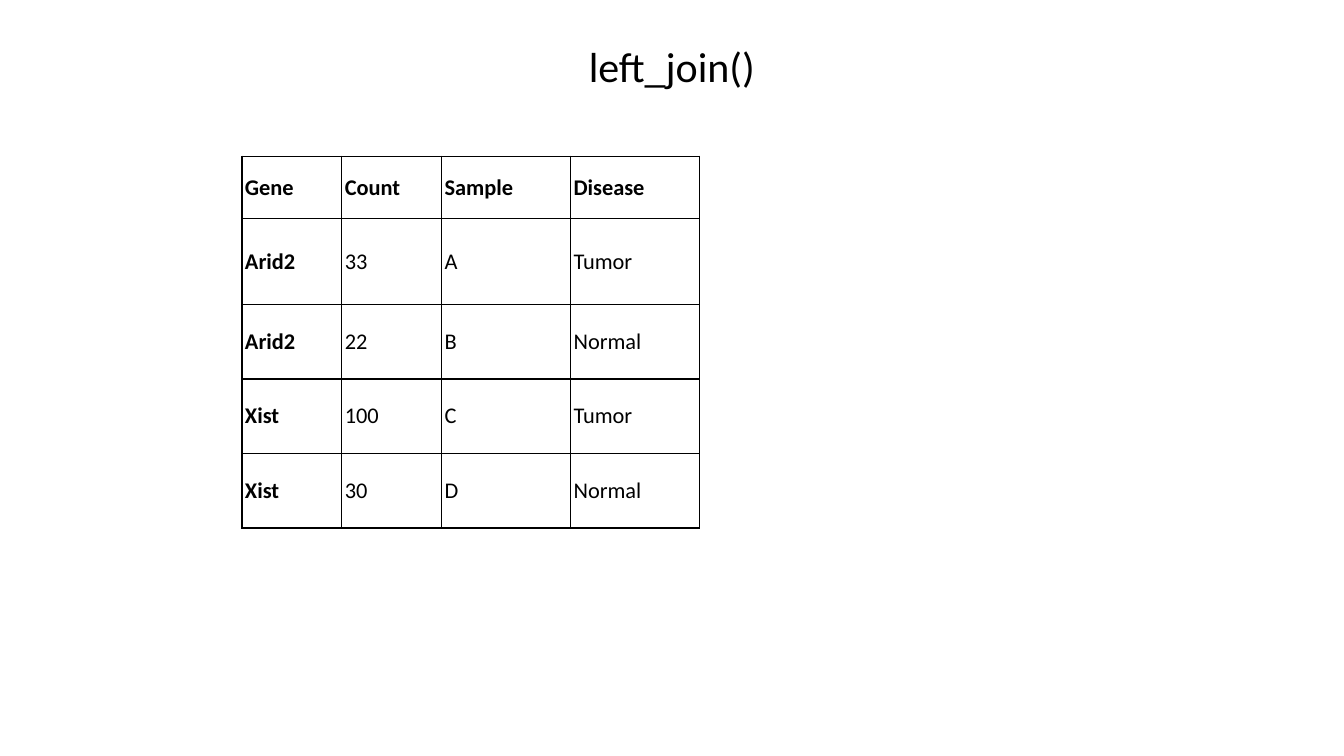
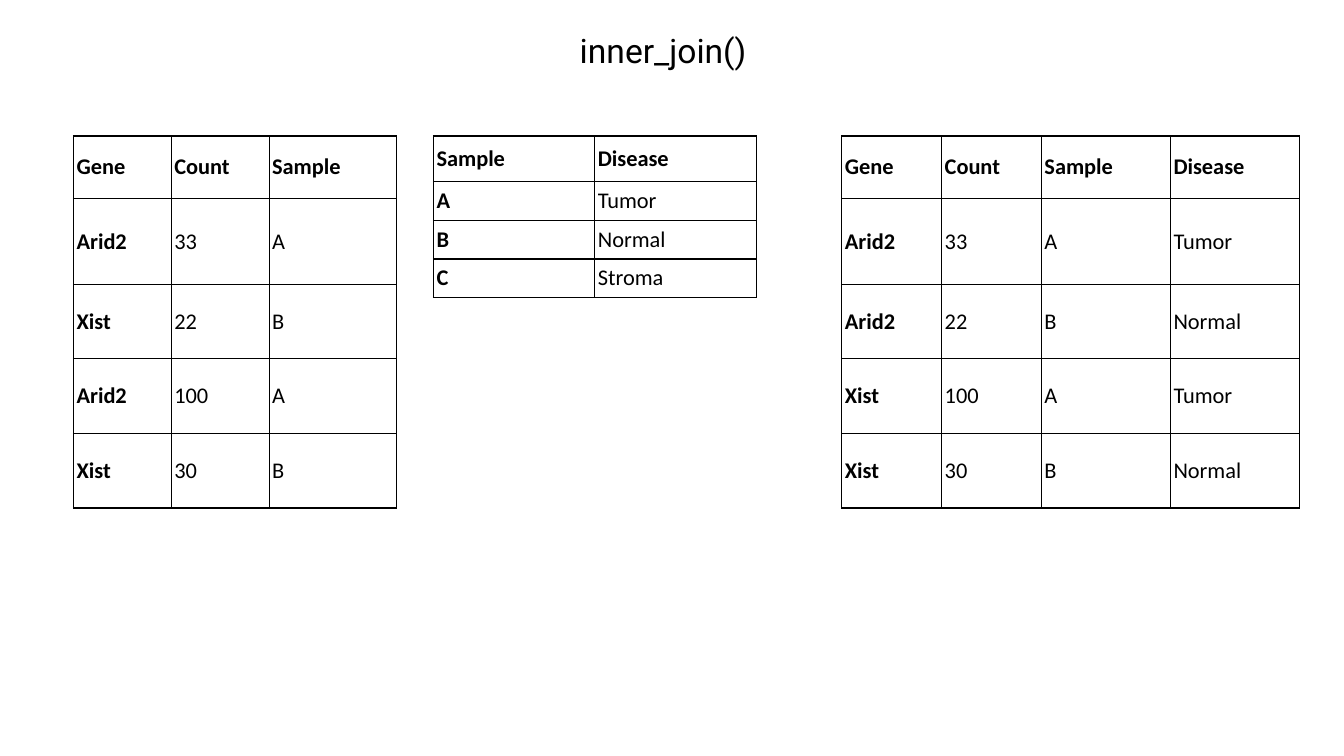
"""Build two slides that show the results of left_join() and inner_join()."""
from lxml.etree import SubElement
from pptx import Presentation
from pptx.dml.color import RGBColor
from pptx.enum.text import MSO_ANCHOR, MSO_AUTO_SIZE, PP_ALIGN
from pptx.oxml.ns import qn
from pptx.util import Inches, Pt

COLORS = {"background": "FFFFFF", "text": "000000", "border": "000000"}
TABLE_FONT = "Calibri"
TABLE_SIZE = 16
BORDER_WIDTH = 1
INSET = 0.03

TALL_ROWS = (0.62, 0.85, 0.74, 0.74, 0.74)
SHORT_ROWS = (0.45, 0.39, 0.38, 0.38)
JOINED_COLUMNS = (0.99, 0.99, 1.28, 1.28)
JOINED_HEADER = ("Gene", "Count", "Sample", "Disease")

SLIDES = [
    {
        "title": ("left_join()", "Calibri", 30, (5.81, 0.37, 1.73, 0.56)),
        "tables": [
            {
                "at": (2.4, 1.55),
                "columns": JOINED_COLUMNS,
                "heights": TALL_ROWS,
                "rows": [
                    JOINED_HEADER,
                    ("Arid2", "33", "A", "Tumor"),
                    ("Arid2", "22", "B", "Normal"),
                    ("Xist", "100", "C", "Tumor"),
                    ("Xist", "30", "D", "Normal"),
                ],
            },
        ],
    },
    {
        "title": ("inner_join()", "Roboto", 24, (5.72, 0.27, 1.79, 0.46)),
        "tables": [
            {
                "at": (0.73, 1.35),
                "columns": (0.97, 0.97, 1.26),
                "heights": TALL_ROWS,
                "rows": [
                    ("Gene", "Count", "Sample"),
                    ("Arid2", "33", "A"),
                    ("Xist", "22", "B"),
                    ("Arid2", "100", "A"),
                    ("Xist", "30", "B"),
                ],
            },
            {
                "at": (4.3, 1.35),
                "columns": (1.6, 1.6),
                "heights": SHORT_ROWS,
                "rows": [
                    ("Sample", "Disease"),
                    ("A", "Tumor"),
                    ("B", "Normal"),
                    ("C", "Stroma"),
                ],
            },
            {
                "at": (8.35, 1.35),
                "columns": JOINED_COLUMNS,
                "heights": TALL_ROWS,
                "rows": [
                    JOINED_HEADER,
                    ("Arid2", "33", "A", "Tumor"),
                    ("Arid2", "22", "B", "Normal"),
                    ("Xist", "100", "A", "Tumor"),
                    ("Xist", "30", "B", "Normal"),
                ],
            },
        ],
    },
]


def set_margins(holder):
    for side in ("left", "right", "top", "bottom"):
        setattr(holder, f"margin_{side}", Inches(INSET))
    holder.vertical_anchor = MSO_ANCHOR.MIDDLE


def style_paragraph(paragraph, font, size, bold=False):
    paragraph.alignment = PP_ALIGN.LEFT
    paragraph.font.name = font
    paragraph.font.size = Pt(size)
    paragraph.font.bold = bold
    paragraph.font.color.rgb = RGBColor.from_string(COLORS["text"])


def add_borders(cell):
    properties = cell._tc.get_or_add_tcPr()
    for position, edge in enumerate(("lnL", "lnR", "lnT", "lnB")):
        line = SubElement(properties, qn(f"a:{edge}"), w=str(Pt(BORDER_WIDTH)))
        fill = SubElement(line, qn("a:solidFill"))
        SubElement(fill, qn("a:srgbClr"), val=COLORS["border"])
        properties.insert(position, line)


def add_title(slide, text, font, size, box):
    frame = slide.shapes.add_textbox(*map(Inches, box)).text_frame
    set_margins(frame)
    frame.word_wrap = False
    frame.auto_size = MSO_AUTO_SIZE.SHAPE_TO_FIT_TEXT
    frame.text = text
    style_paragraph(frame.paragraphs[0], font, size)


def add_data_table(slide, at, columns, heights, rows):
    extent = (*at, sum(columns), sum(heights))
    table = slide.shapes.add_table(
        len(rows), len(columns), *map(Inches, extent)
    ).table
    table.first_row = table.horz_banding = False
    for column, width in zip(table.columns, columns):
        column.width = Inches(width)
    for row, height in zip(table.rows, heights):
        row.height = Inches(height)
    for row_index, values in enumerate(rows):
        for column_index, value in enumerate(values):
            cell = table.cell(row_index, column_index)
            cell.text = value
            set_margins(cell)
            cell.fill.background()
            add_borders(cell)
            is_label = row_index == 0 or column_index == 0
            style_paragraph(
                cell.text_frame.paragraphs[0], TABLE_FONT, TABLE_SIZE, is_label
            )


def main():
    deck = Presentation()
    deck.slide_width, deck.slide_height = Inches(13.33), Inches(7.5)
    background = deck.slide_master.background.fill
    background.solid()
    background.fore_color.rgb = RGBColor.from_string(COLORS["background"])
    for content in SLIDES:
        slide = deck.slides.add_slide(deck.slide_layouts[6])
        add_title(slide, *content["title"])
        for table in content["tables"]:
            add_data_table(slide, **table)
    deck.save("out.pptx")


if __name__ == "__main__":
    main()
